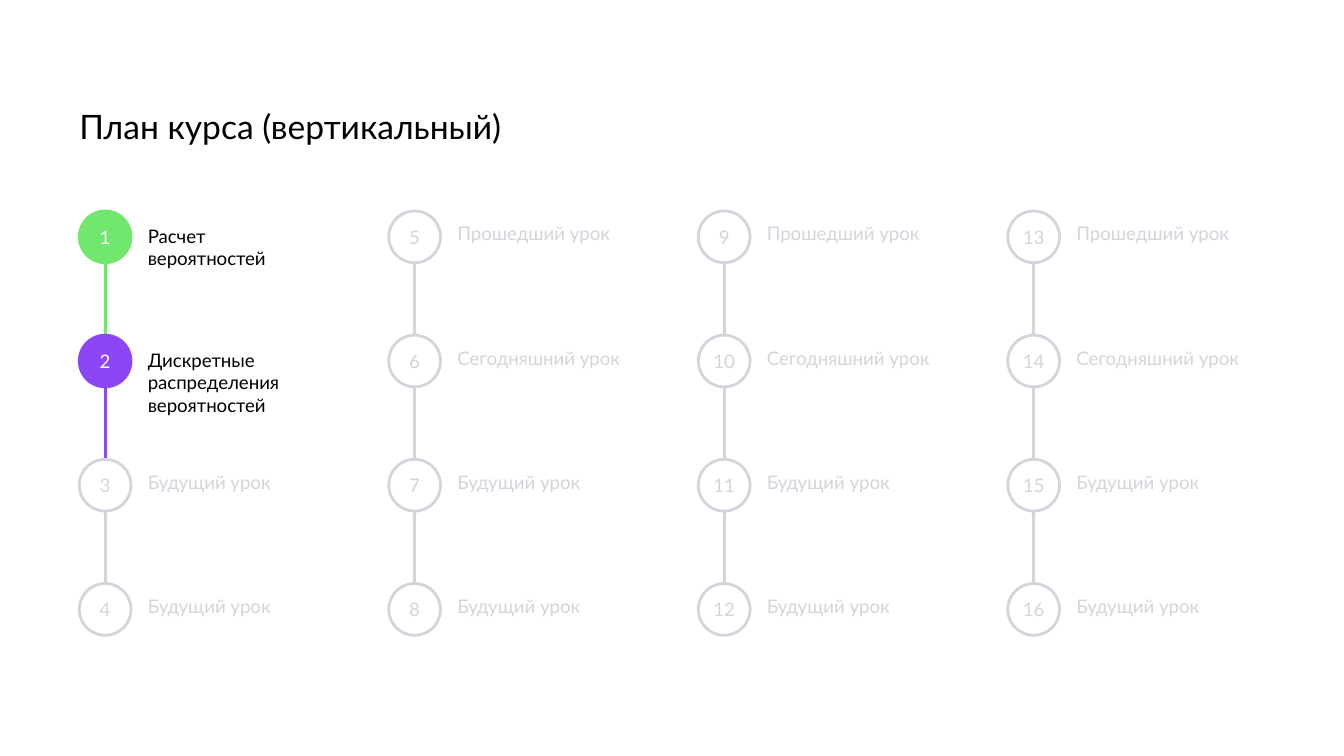
import pptx
import pptx.util
import pptx.dml.color
import pptx.enum.shapes
import pptx.enum.text
import pptx.oxml.ns
import lxml.etree

Inches = pptx.util.Inches
Pt = pptx.util.Pt

# Content: one list of lessons per column, each (label, state)
TITLE = "План курса (вертикальный)"
LATER_COLUMN = [
    ("Прошедший урок", "open"),
    ("Сегодняшний урок", "open"),
    ("Будущий урок", "future"),
    ("Будущий урок", "future"),
]
COLUMNS = [
    [
        ("Расчет вероятностей", "done"),
        ("Дискретные распределения вероятностей", "current"),
        ("Будущий урок", "future"),
        ("Будущий урок", "future"),
    ],
    LATER_COLUMN,
    LATER_COLUMN,
    LATER_COLUMN,
]

# State: circle fill, line, number colour, label colour
STATES = {
    "done": ("71E76E", "71E76E", "FFFFFF", "000000"),
    "current": ("8D46F6", "8D46F6", "FFFFFF", "000000"),
    "open": (None, "D4D4DD", "D4D4DD", "D4D4DD"),
    "future": ("FFFFFF", "D4D4DD", "D4D4DD", "D4D4DD"),
}

# Grid, in inches
LEFT, TOP = 0.59, 1.57
COLUMN_STEP, ROW_STEP = 2.303, 0.924
CIRCLE = 0.385
LABEL_OFFSET, LABEL_WIDTH, LABEL_HEIGHT = 0.51, 1.4, 0.37
LINE_WIDTH = 1.5


def color(value):
    return pptx.dml.color.RGBColor.from_string(value)


def write(shape, text, size, text_color, insets=(0, 0, 0, 0)):
    frame = shape.text_frame
    frame.word_wrap = True
    frame.margin_left, frame.margin_top, frame.margin_right, frame.margin_bottom = map(Inches, insets)
    frame.text = text
    font = frame.paragraphs[0].runs[0].font
    font.name, font.size = "Lato", Pt(size)
    font.color.rgb = color(text_color)


def add_text(left, top, width, height, *text_style):
    box = slide.shapes.add_textbox(Inches(left), Inches(top), Inches(width), Inches(height))
    write(box, *text_style)


def add_link(x, start, end, line_color):
    link = slide.shapes.add_connector(
        pptx.enum.shapes.MSO_CONNECTOR.STRAIGHT, Inches(x), Inches(start), Inches(x), Inches(end))
    link.line.color.rgb = color(line_color)
    link.line.width = Pt(LINE_WIDTH)
    lxml.etree.SubElement(link._element.spPr, pptx.oxml.ns.qn("a:effectLst"))


def add_circle(left, top, number, fill, line, number_color):
    circle = slide.shapes.add_shape(
        pptx.enum.shapes.MSO_SHAPE.OVAL, Inches(left), Inches(top), Inches(CIRCLE), Inches(CIRCLE))
    circle.shadow.inherit = False
    if fill:
        circle.fill.solid()
        circle.fill.fore_color.rgb = color(fill)
    else:
        circle.fill.background()
    circle.line.color.rgb = color(line)
    circle.line.width = Pt(LINE_WIDTH)
    write(circle, str(number), 10, number_color)
    circle.text_frame.vertical_anchor = pptx.enum.text.MSO_ANCHOR.MIDDLE
    circle.text_frame.paragraphs[0].alignment = pptx.enum.text.PP_ALIGN.CENTER


presentation = pptx.Presentation()
presentation.slide_width, presentation.slide_height = Inches(10), Inches(5.625)
slide = presentation.slides.add_slide(presentation.slide_layouts[6])

# Title
add_text(LEFT, 0.79, 8.82, 0.35, TITLE, 18, "000000")

# Lesson columns, numbered downwards
number = 0
for column, lessons in enumerate(COLUMNS):
    left = LEFT + column * COLUMN_STEP
    for row, (label, state) in enumerate(lessons):
        number += 1
        top = TOP + row * ROW_STEP
        fill, line, number_color, label_color = STATES[state]
        if row < len(lessons) - 1:
            add_link(left + CIRCLE / 2, top + CIRCLE, top + ROW_STEP, line)
        add_circle(left, top, number, fill, line, number_color)
        add_text(left + LABEL_OFFSET, top, LABEL_WIDTH, LABEL_HEIGHT,
                 label, 10, label_color, (0, 0.1, 0.1, 0.1))

presentation.save("out.pptx")
